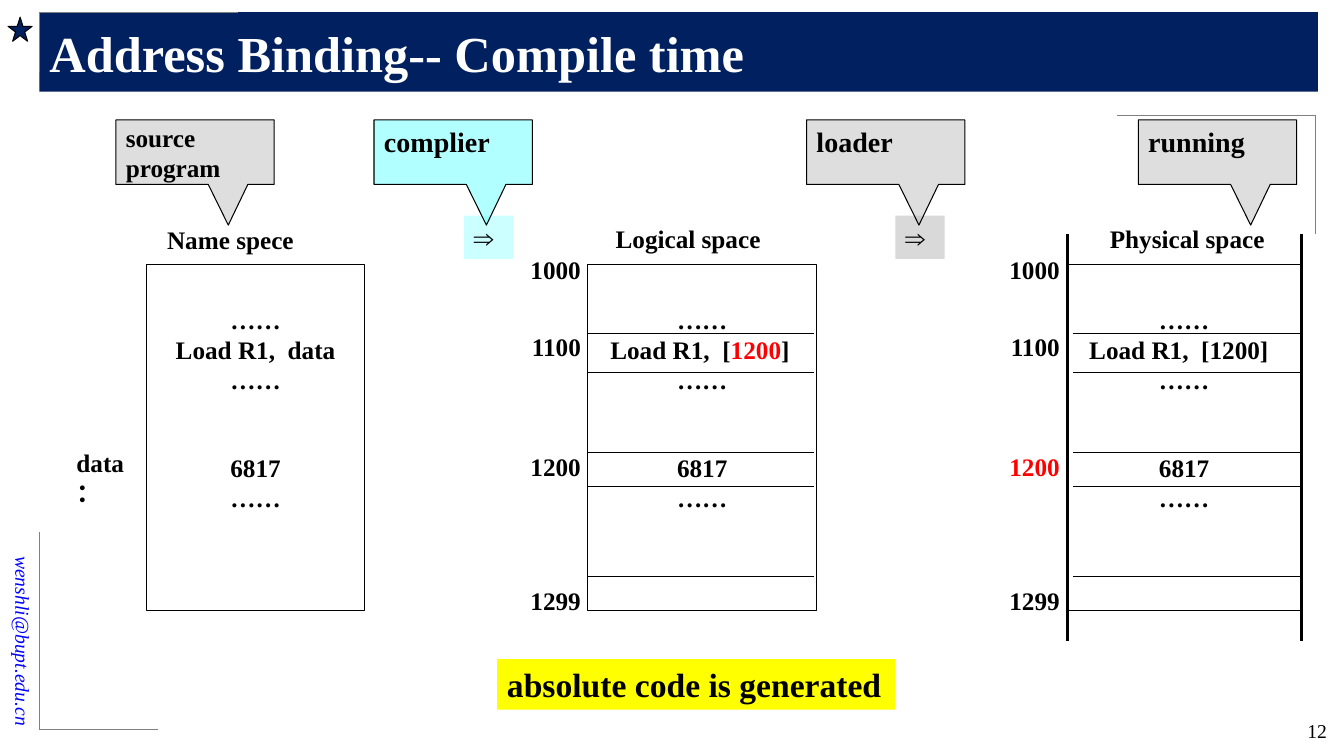
from dataclasses import dataclass
from lxml import etree
from pptx import Presentation
from pptx.dml.color import RGBColor
from pptx.enum.shapes import MSO_CONNECTOR, MSO_SHAPE
from pptx.enum.text import MSO_ANCHOR, MSO_AUTO_SIZE, PP_ALIGN
from pptx.oxml.ns import qn
from pptx.util import Inches, Pt

LEFT, CENTER, RIGHT = PP_ALIGN.LEFT, PP_ALIGN.CENTER, PP_ALIGN.RIGHT
TOP, MIDDLE = MSO_ANCHOR.TOP, MSO_ANCHOR.MIDDLE
RECT, CALLOUT, STAR = MSO_SHAPE.RECTANGLE, MSO_SHAPE.RECTANGULAR_CALLOUT, MSO_SHAPE.STAR_5_POINT


@dataclass(frozen=True)
class Theme:
    font: str = "Times New Roman"
    navy: str = "002060"
    white: str = "FFFFFF"
    black: str = "000000"
    red: str = "FF0000"
    blue: str = "0000FF"
    frame: str = "808080"
    grey: str = "BFBFBF"
    pale_grey: str = "D9D9D9"
    cyan: str = "66FFFF"
    pale_cyan: str = "CCFFFF"
    yellow: str = "FFFF00"
    title: float = 36
    summary: float = 24
    stage: float = 20
    body: float = 18
    small: float = 14
    thin: float = 0.75
    hairline: float = 0.5
    thick: float = 2.25


T = Theme()

# Content
TITLE = "Address Binding-- Compile time"
SUMMARY = "absolute code is generated"
EMAIL = "wenshli@bupt.edu.cn"
PAGE = "12"
DOTS, VALUE = "……", "6817"
STAGES = [  # text, left, fill, size, anchor
    ("source program", 1.15, T.grey, T.body, MIDDLE),
    ("complier", 3.71, T.cyan, T.stage, TOP),
    ("loader", 8, T.grey, T.stage, TOP),
    ("running", 11.29, T.grey, T.stage, TOP),
]
STEPS = [("⇒", 4.6, T.pale_cyan), ("⇒", 8.88, T.pale_grey)]
# Each space: heading and its box, memory box, instruction runs, addresses
SPACES = [
    dict(heading="Name spece", heading_box=(1.55, 2.18, 1.47), left=1.45, width=2.17,
         load=[("Load R1,  data", T.black)], load_align=CENTER, addresses=[], rungs=None),
    dict(heading="Logical space", heading_box=(6, 2.17, 1.65), left=5.83, width=2.27,
         load=[("Load R1,  [", T.black), ("1200", T.red), ("]", T.black)], load_align=LEFT,
         addresses=[("1000", T.black), ("1100", T.black), ("1200", T.black), ("1299", T.black)],
         rungs=(5.83, 8.07)),
    dict(heading="Physical space", heading_box=(10.87, 2.17, 1.81), left=10.58, width=2.33,
         load=[("Load R1,  [1200]", T.black)], load_align=LEFT,
         addresses=[("1000", T.black), ("1100", T.black), ("1200", T.red), ("1299", T.black)],
         rungs=(10.64, 12.89)),
]
DATA_LABEL = "data："

# Shared rows
MEMORY_TOP, MEMORY_HEIGHT = 2.62, 3.44
ADDRESS_ROWS = [2.47, 3.24, 4.43, 5.76]
RUNG_ROWS = [3.31, 3.7, 4.49, 4.83, 5.72]
RAIL_TOP, RAIL_BOTTOM = 2.32, 6.36
BLANK_LINES = 2 * 1.15 * T.body  # points taken by two empty rows
FRAME_LINES = [
    (0.39, 0.12, 0.39, 0.71), (0.39, 0.12, 2.36, 0.12),
    (0.39, 5.28, 0.39, 7.24), (1.57, 7.24, 0.39, 7.24),
    (13.05, 1.14, 13.05, 2.32), (13.05, 1.14, 11.08, 1.14),
]

prs = Presentation()
prs.slide_width, prs.slide_height = Inches(13.33), Inches(7.5)
slide = prs.slides.add_slide(prs.slide_layouts[5])


def place(box):
    return [Inches(v) for v in box]


def line(x1, y1, x2, y2, color=T.black, weight=T.thin):
    link = slide.shapes.add_connector(MSO_CONNECTOR.STRAIGHT, *place((x1, y1, x2, y2)))
    link.line.color.rgb = RGBColor.from_string(color)
    link.line.width = Pt(weight)
    etree.SubElement(link._element.spPr, qn("a:effectLst"))


def add_run(paragraph, text, size=T.body, color=T.black, bold=True, italic=False):
    run = paragraph.add_run()
    run.text = text
    font = run.font
    font.name, font.size, font.bold, font.italic = T.font, Pt(size), bold, italic
    font.color.rgb = RGBColor.from_string(color)


def label(text, box, align=LEFT, anchor=TOP, wrap=False, **style):
    area = slide.shapes.add_textbox(*place(box))
    frame = area.text_frame
    frame.word_wrap, frame.vertical_anchor = wrap, anchor
    frame.paragraphs[0].alignment = align
    add_run(frame.paragraphs[0], text, **style)
    return area


def block(kind, box, fill=None, outline=None, alpha=None, anchor=TOP):
    shape = slide.shapes.add_shape(kind, *place(box))
    shape.shadow.inherit = False
    if fill:
        shape.fill.solid()
        shape.fill.fore_color.rgb = RGBColor.from_string(fill)
    else:
        shape.fill.background()
    if alpha:
        color = shape._element.spPr.find(qn("a:solidFill"))[0]
        etree.SubElement(color, qn("a:alpha"), val=str(alpha * 1000))
    if outline:
        shape.line.color.rgb = RGBColor.from_string(outline)
        shape.line.width = Pt(T.thin)
    else:
        shape.line.fill.background()
    shape.text_frame.word_wrap = True
    shape.text_frame.vertical_anchor = anchor
    shape.text_frame.paragraphs[0].alignment = LEFT
    return shape


# Page frame
for ends in FRAME_LINES:
    line(*ends, color=T.frame, weight=T.hairline)
block(STAR, (0.08, 0.17, 0.24, 0.24), T.navy, T.black)
label(EMAIL, (-1.09, 5.81, 2.64, 0.34), RIGHT, MIDDLE, wrap=True,
      size=T.small, color=T.blue, bold=False, italic=True).rotation = 90
label(PAGE, (12.15, 7.08, 1.11, 0.36), RIGHT, wrap=True, size=T.small, bold=False)

# Title
title = slide.shapes.title
title.left, title.top, title.width, title.height = place((0.39, 0.12, 12.68, 0.79))
title.fill.solid()
title.fill.fore_color.rgb = RGBColor.from_string(T.navy)
title.text_frame.auto_size = MSO_AUTO_SIZE.NONE
title.text_frame.vertical_anchor = MIDDLE
title.text_frame.paragraphs[0].alignment = LEFT
add_run(title.text_frame.paragraphs[0], TITLE, T.title, T.white)

# Address spaces
for space in SPACES:
    left, width = space["left"], space["width"]
    memory = block(RECT, (left, MEMORY_TOP, width, MEMORY_HEIGHT), outline=T.black, anchor=MIDDLE)
    frame = memory.text_frame
    frame.margin_bottom = Inches(0.05) + Pt(BLANK_LINES)
    dots = [(DOTS, T.black)]
    for row, runs in enumerate([dots, space["load"], dots, [(VALUE, T.black)], dots]):
        paragraph = frame.add_paragraph() if row else frame.paragraphs[0]
        paragraph.alignment = CENTER
        if runs is space["load"]:
            paragraph.alignment = space["load_align"]
            if paragraph.alignment == LEFT:
                paragraph._p.get_or_add_pPr().set("marL", str(Pt(T.body / 2)))
        if runs[0][0] == VALUE:
            paragraph.space_before = Pt(BLANK_LINES)
        for text, color in runs:
            add_run(paragraph, text, color=color)
    label(space["heading"], (*space["heading_box"], 0.4), CENTER)
    for (address, color), top in zip(space["addresses"], ADDRESS_ROWS):
        label(address, (left - 0.68, top, 0.71, 0.4), RIGHT, color=color)
    if space["rungs"]:
        start, end = space["rungs"]
        for y in RUNG_ROWS:
            line(start, y, end, y)
label(DATA_LABEL, (0.66, 4.39, 0.9, 0.4), wrap=True)

# Rails of physical memory
for x in (10.59, 12.91):
    line(x, RAIL_TOP, x, RAIL_BOTTOM, weight=T.thick)

# Steps and stage callouts
for arrow, left, fill in STEPS:
    step = block(RECT, (left, 2.14, 0.49, 0.43), fill)
    add_run(step.text_frame.paragraphs[0], arrow, T.stage)
for text, left, fill, size, anchor in STAGES:
    stage = block(CALLOUT, (left, 1.19, 1.57, 0.64), fill, T.black, alpha=50, anchor=anchor)
    stage.adjustments[0], stage.adjustments[1] = 0.21, 1.13
    add_run(stage.text_frame.paragraphs[0], text, size)

# Summary
summary = block(RECT, (4.93, 6.54, 3.95, 0.5), T.yellow)
add_run(summary.text_frame.paragraphs[0], SUMMARY, T.summary)

prs.save("out.pptx")
